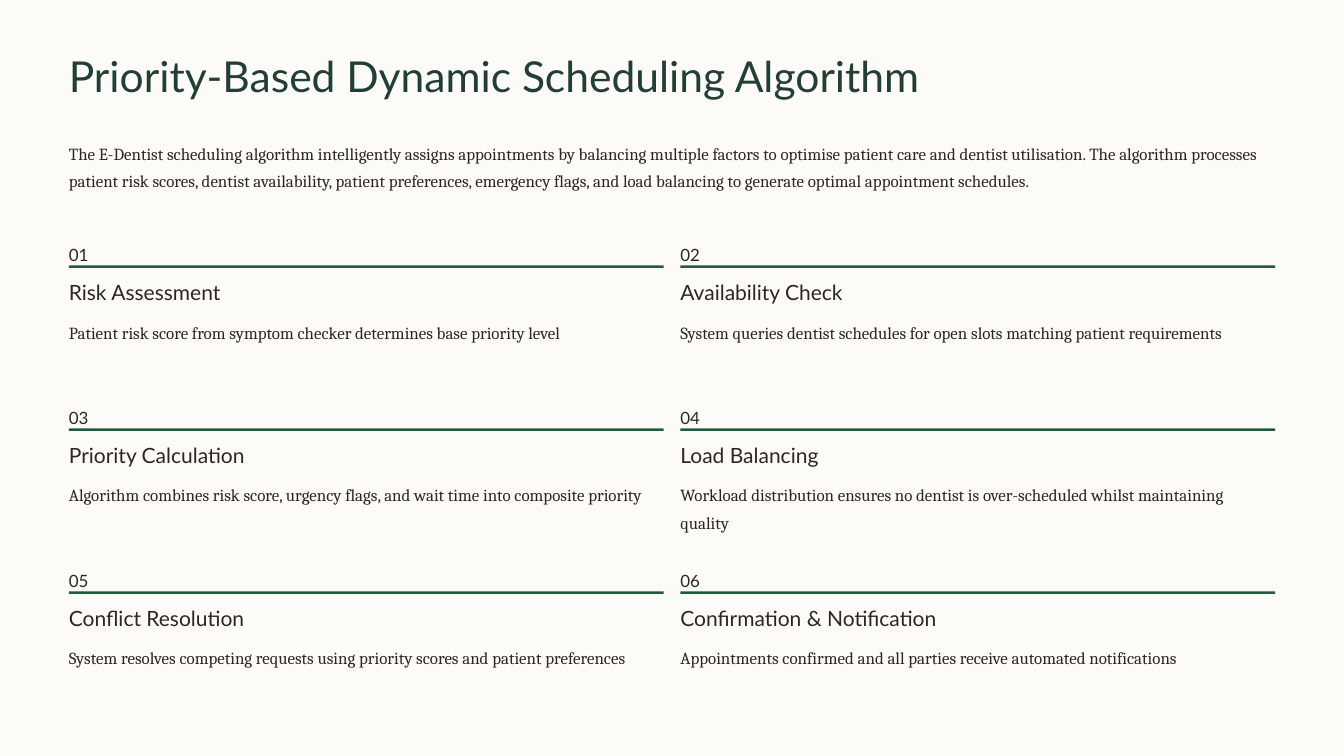
from pptx import Presentation
from pptx.dml.color import RGBColor
from pptx.enum import shapes, text
from pptx.util import Inches, Pt

COLORS = {"paper": "FCFBF8", "title": "233E32", "ink": "2C2821", "rule": "1B5F39"}

deck = Presentation()
deck.slide_width, deck.slide_height = Inches(16), Inches(9)
slide = deck.slides.add_slide(deck.slide_layouts[6])


def block(x, y, w, h, color):
    rect = slide.shapes.add_shape(shapes.MSO_SHAPE.RECTANGLE,
                                  Inches(x), Inches(y), Inches(w), Inches(h))
    rect.shadow.inherit = False
    rect.fill.solid()
    rect.fill.fore_color.rgb = RGBColor.from_string(COLORS[color])
    rect.line.fill.background()


def write(words, x, y, w, h, font="Lato", size=14.5, line=23.5, color="ink", wrap=False):
    box = slide.shapes.add_textbox(Inches(x), Inches(y), Inches(w), Inches(h))
    frame = box.text_frame
    frame.margin_left = frame.margin_right = frame.margin_top = frame.margin_bottom = 0
    frame.word_wrap = wrap
    frame.vertical_anchor = text.MSO_ANCHOR.TOP
    para = frame.paragraphs[0]
    para.line_spacing = Pt(line)
    run = para.add_run()
    run.text = words
    run.font.name, run.font.size = font, Pt(size)
    run.font.color.rgb = RGBColor.from_string(COLORS[color])


# Paper, title and introduction
LEFT = 0.82
block(0, 0, 16, 9, "paper")
write("Priority-Based Dynamic Scheduling Algorithm", LEFT, 0.56, 10.63, 0.64,
      size=36.5, line=46, color="title")
write("The E-Dentist scheduling algorithm intelligently assigns appointments by balancing "
      "multiple factors to optimise patient care and dentist utilisation. The algorithm "
      "processes patient risk scores, dentist availability, patient preferences, emergency "
      "flags, and load balancing to generate optimal appointment schedules.",
      LEFT, 1.62, 14.36, 0.99, font="Cambria", wrap=True)

# Steps in a grid of two columns
STEPS = [
    ("Risk Assessment",
     "Patient risk score from symptom checker determines base priority level"),
    ("Availability Check",
     "System queries dentist schedules for open slots matching patient requirements"),
    ("Priority Calculation",
     "Algorithm combines risk score, urgency flags, and wait time into composite priority"),
    ("Load Balancing",
     "Workload distribution ensures no dentist is over-scheduled whilst maintaining quality"),
    ("Conflict Resolution",
     "System resolves competing requests using priority scores and patient preferences"),
    ("Confirmation & Notification",
     "Appointments confirmed and all parties receive automated notifications"),
]
TOP, WIDTH, GAP, PITCH = 2.83, 7.08, 0.2, 1.94

for i, (head, body) in enumerate(STEPS):
    row, col = divmod(i, 2)
    x = LEFT + col * (WIDTH + GAP)
    y = TOP + row * PITCH
    write(f"{i + 1:02}", x, y, 0.3, 0.26, wrap=True)
    block(x, y + 0.33, WIDTH, 0.03, "rule")
    write(head, x, y + 0.48, 3.27, 0.32, size=18, line=23)
    write(body, x, y + 0.92, WIDTH, 0.66, font="Cambria", wrap=True)

deck.save("out.pptx")
